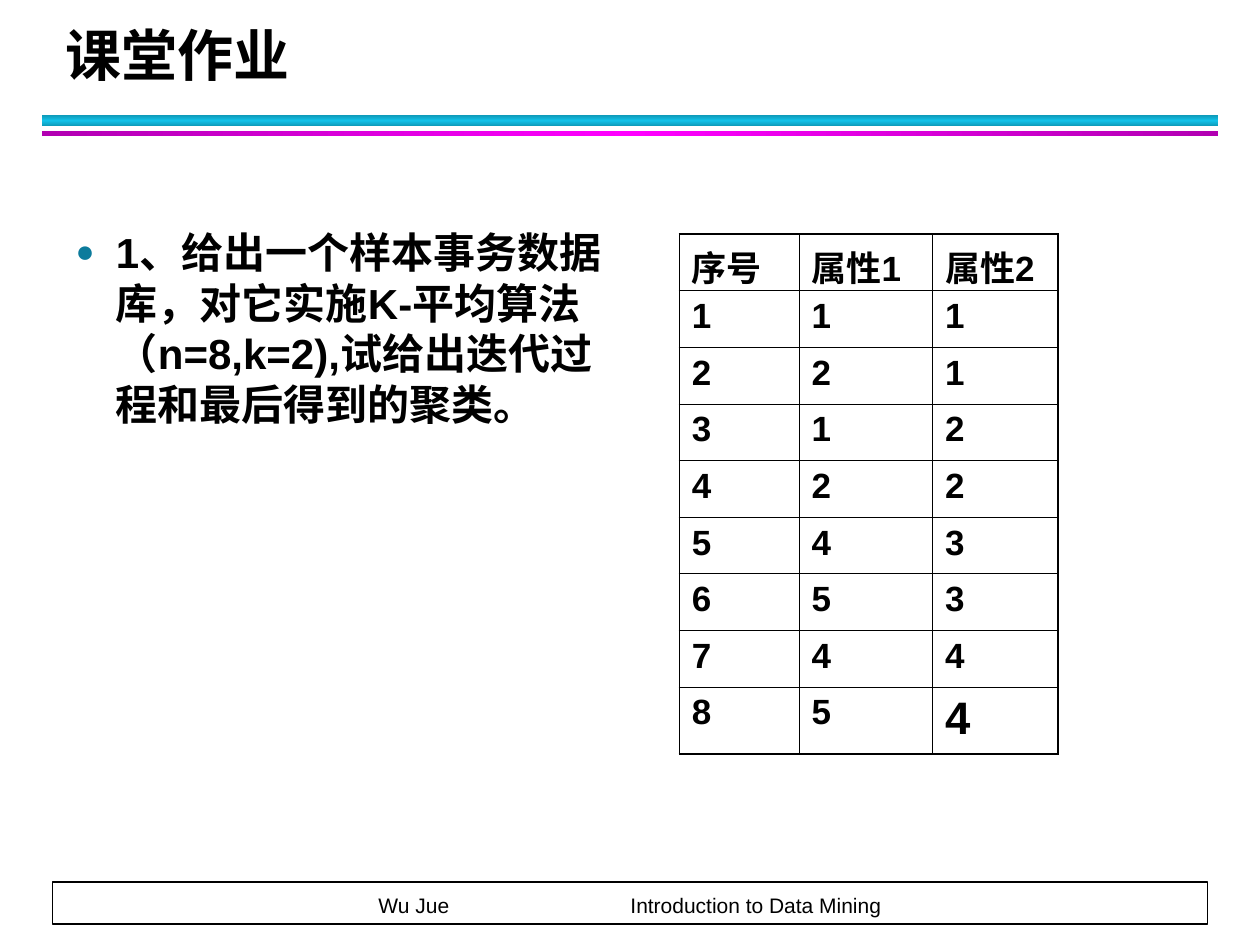
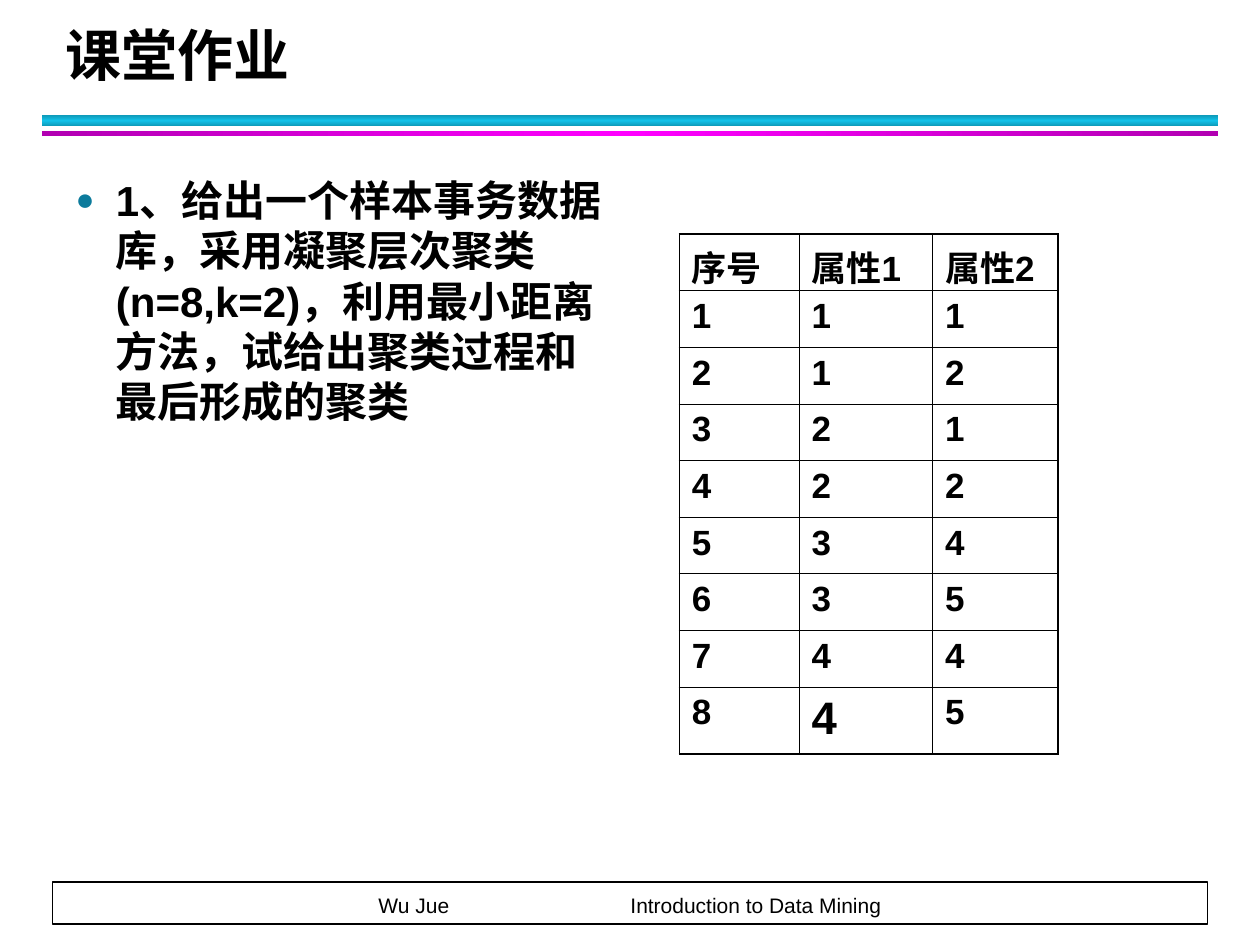
from lxml.etree import SubElement
from pptx import Presentation
from pptx.dml.color import RGBColor
from pptx.enum.shapes import MSO_SHAPE
from pptx.enum.text import MSO_ANCHOR, MSO_AUTO_SIZE, PP_ALIGN
from pptx.oxml.ns import qn
from pptx.util import Inches, Pt

BLACK = RGBColor(0x00, 0x00, 0x00)
WHITE = RGBColor(0xFF, 0xFF, 0xFF)
TEAL = RGBColor(0x0E, 0x9B, 0xBA)
CYAN = RGBColor(0x12, 0xC2, 0xE9)
PURPLE = RGBColor(0xB2, 0x00, 0xB2)
MAGENTA = RGBColor(0xFF, 0x00, 0xFF)
BULLET = RGBColor(0x0C, 0x7B, 0x9C)

WIDTH, HEIGHT = Inches(10), Inches(7.5)
COLS, ROWS = 120, 90
TITLE_BOX = (5, 2, 108.7, 7)
BANDS_BOX = (4, 11, 112, 2)
FOOTER_BOX = (5, 84, 110, 4)
TABLE_BOX = (64.7, 22.3, 36.1, 49.5)
COL_SHARES = (0.95, 1.06, 1)
ROW_SHARES = (0.45,) * 8 + (0.53,)
THIN, THICK = 0.45, 1.08
HEADER = ("序号", "属性1", "属性2")

EXERCISES = [
    {"task": "1、给出一个样本事务数据库，对它实施K-平均算法（n=8,k=2),试给出迭代过程和最后得到的聚类。",
     "box": (6, 21, 55, 59.4),
     "points": [(1, 1), (2, 1), (1, 2), (2, 2), (4, 3), (5, 3), (4, 4), (5, 4)],
     "large": (8, 2)},
    {"task": "1、给出一个样本事务数据库，采用凝聚层次聚类(n=8,k=2)，利用最小距离方法，试给出聚类过程和最后形成的聚类",
     "box": (6, 16, 53, 64.4),
     "points": [(1, 1), (1, 2), (2, 1), (2, 2), (3, 4), (3, 5), (4, 4), (4, 5)],
     "large": (8, 1)},
]


def place(box):
    """Turn a box in grid columns and rows into slide lengths."""
    x, y, w, h = box
    return (round(WIDTH * x / COLS), round(HEIGHT * y / ROWS),
            round(WIDTH * w / COLS), round(HEIGHT * h / ROWS))


def move(sp, box):
    """Move a shape to a grid box."""
    sp.left, sp.top, sp.width, sp.height = place(box)


def write(tf, text, size=20, font="Arial", bold=True, align=PP_ALIGN.LEFT,
          anchor=MSO_ANCHOR.TOP, line=None, before=0, after=0):
    """Write one formatted paragraph and return it."""
    tf.vertical_anchor = anchor
    p = tf.paragraphs[0]
    p.alignment = align
    p.space_before, p.space_after = Pt(before), Pt(after)
    if line:
        p.line_spacing = Pt(line)
    r = p.add_run()
    r.text = text
    r.font.size, r.font.name, r.font.bold = Pt(size), font, bold
    r.font.color.rgb = BLACK
    return p


def add_bullet(p):
    """Give a paragraph a hanging coloured dot."""
    pPr = p._p.get_or_add_pPr()
    pPr.set("marL", str(Inches(0.32)))
    pPr.set("indent", str(-Inches(0.32)))
    SubElement(SubElement(pPr, qn("a:buClr")), qn("a:srgbClr"), val=str(BULLET))
    SubElement(pPr, qn("a:buSzPct"), val="75000")
    SubElement(pPr, qn("a:buChar"), char="●")


def add_tabs(p, stops):
    """Set left tab stops in inches."""
    tabs = SubElement(p._p.get_or_add_pPr(), qn("a:tabLst"))
    for stop in stops:
        SubElement(tabs, qn("a:tab"), pos=str(Inches(stop)), algn="l")


def add_rect(s, box):
    """Add a plain rectangle without line or shadow."""
    sp = s.shapes.add_shape(MSO_SHAPE.RECTANGLE, *place(box))
    sp.shadow.inherit = False
    sp.line.fill.background()
    return sp


def add_band(s, box, edge, middle, angle):
    """Add a bar whose colour runs from edge to middle and back."""
    fill = add_rect(s, box).fill
    fill.gradient()
    fill.gradient_angle = angle
    stops = fill._fill._gradFill.find(qn("a:gsLst"))
    stops.clear()
    for pos, color in ((0, edge), (50, middle), (100, edge)):
        gs = SubElement(stops, qn("a:gs"), pos=str(pos * 1000))
        SubElement(gs, qn("a:srgbClr"), val=str(color))


def add_bands(s, box):
    """Draw the two bands under the title."""
    x, y, w, h = box
    add_band(s, (x, y, w, h / 2), TEAL, CYAN, 90)
    add_band(s, (x, y + h * 0.75, w, h / 4), PURPLE, MAGENTA, 0)


def add_footer(s, box):
    """Draw the framed footer with author and course."""
    x, y, w, h = box
    frame = add_rect(s, box)
    frame.fill.solid()
    frame.fill.fore_color.rgb = WHITE
    frame.line.color.rgb = BLACK
    frame.line.width = Pt(1)
    tf = s.shapes.add_textbox(*place((x, y, w, h * 0.85))).text_frame
    tf.word_wrap = True
    tf.margin_left = tf.margin_right = tf.margin_top = tf.margin_bottom = 0
    p = write(tf, "Wu Jue\t\tIntroduction to Data Mining", size=12, bold=False,
              align=PP_ALIGN.CENTER, anchor=MSO_ANCHOR.BOTTOM, line=20)
    add_tabs(p, (1, 2))


def add_title(s, box):
    """Fill the title placeholder."""
    title = s.shapes.title
    move(title, box)
    title.text_frame.auto_size = MSO_AUTO_SIZE.NONE
    write(title.text_frame, "课堂作业", size=32, font="Cabin",
          anchor=MSO_ANCHOR.BOTTOM, line=36)


def add_task(s, box, text):
    """Fill the body placeholder with the bulleted task."""
    body = s.placeholders[1]
    move(body, box)
    body.text_frame.auto_size = MSO_AUTO_SIZE.NONE
    add_bullet(write(body.text_frame, text, size=24, before=3, after=4))


def set_borders(cell, widths):
    """Draw the left, right, top and bottom cell borders."""
    tcPr = cell._tc.get_or_add_tcPr()
    for side, width in zip("LRTB", widths):
        ln = SubElement(tcPr, qn(f"a:ln{side}"), w=str(Pt(width)))
        SubElement(SubElement(ln, qn("a:solidFill")), qn("a:srgbClr"), val=str(BLACK))


def add_samples(s, box, points, large):
    """Add the sample table with one cell in larger type."""
    rows = [HEADER] + [(i, *point) for i, point in enumerate(points, 1)]
    n, m = len(rows), len(HEADER)
    frame = s.shapes.add_table(n, m, *place(box))
    table = frame.table
    table.first_row = table.horz_banding = False
    width, height = frame.width, frame.height
    for col, share in zip(table.columns, COL_SHARES):
        col.width = round(width * share / sum(COL_SHARES))
    for row, share in zip(table.rows, ROW_SHARES):
        row.height = round(height * share / sum(ROW_SHARES))
    for i, values in enumerate(rows):
        for j, value in enumerate(values):
            cell = table.cell(i, j)
            size = 26 if (i, j) == large else 20
            write(cell.text_frame, str(value), size=size, before=size / 4)
            outer = (j == 0, j == m - 1, i == 0, i == n - 1)
            set_borders(cell, [THICK if edge else THIN for edge in outer])
            cell.fill.background()


def add_exercise(prs, task, box, points, large):
    """Build one exercise slide."""
    s = prs.slides.add_slide(prs.slide_layouts[1])
    add_bands(s, BANDS_BOX)
    add_footer(s, FOOTER_BOX)
    add_title(s, TITLE_BOX)
    add_task(s, box, task)
    add_samples(s, TABLE_BOX, points, large)


def main():
    """Build and save the presentation."""
    prs = Presentation()
    prs.slide_width, prs.slide_height = WIDTH, HEIGHT
    for exercise in EXERCISES:
        add_exercise(prs, **exercise)
    prs.save("out.pptx")


if __name__ == "__main__":
    main()
